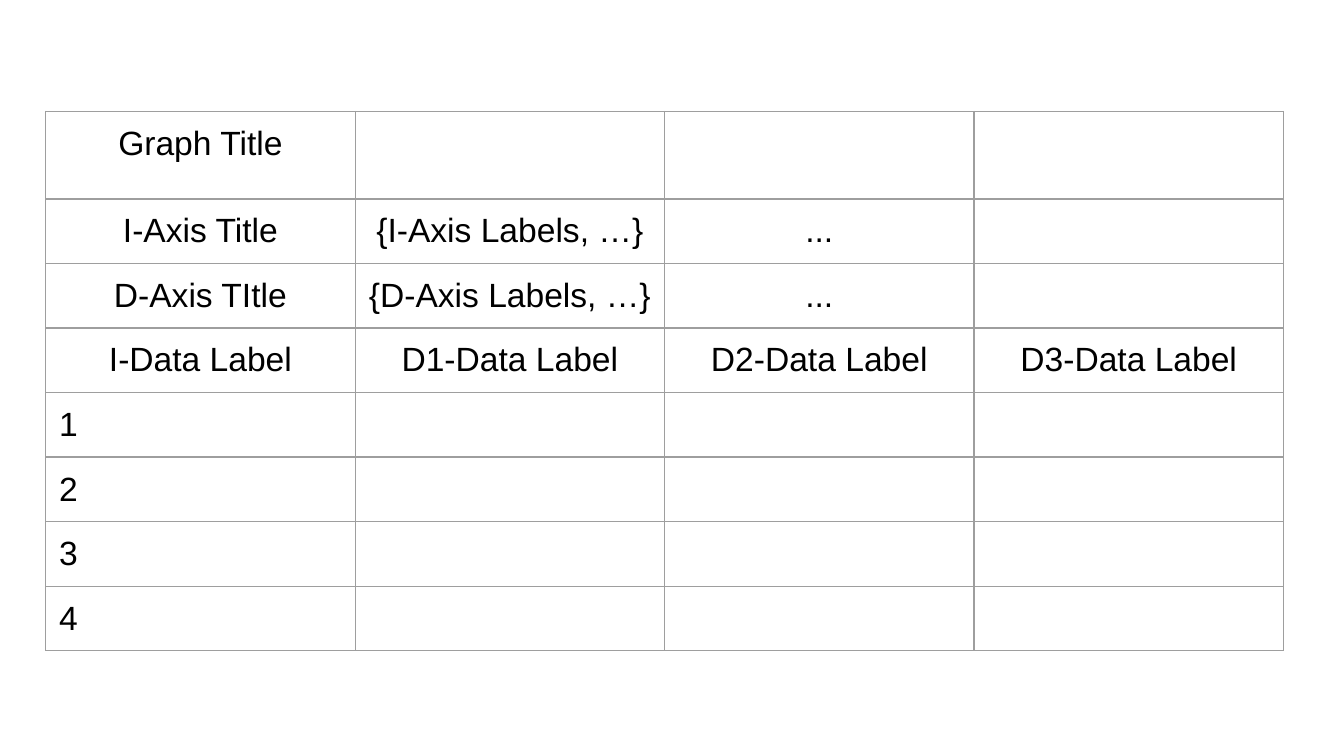
"""Build a slide with a template table for graph data."""
import pptx
import pptx.util
import pptx.dml.color
import pptx.enum.text
import lxml.etree
import pptx.oxml.ns

Inches, Pt = pptx.util.Inches, pptx.util.Pt
COLORS = {"text": "000000", "border": "9E9E9E"}
ROWS = [
    ["Graph Title"],
    ["I-Axis Title", "{I-Axis Labels, …}", "..."],
    ["D-Axis TItle", "{D-Axis Labels, …}", "..."],
    ["I-Data Label", "D1-Data Label", "D2-Data Label", "D3-Data Label"],
    ["1"],
    ["2"],
    ["3"],
    ["4"],
]
COLS = 4


def add_borders(cell):
    tcPr = cell._tc.get_or_add_tcPr()
    for i, side in enumerate(("lnL", "lnR", "lnT", "lnB")):
        ln = lxml.etree.Element(pptx.oxml.ns.qn(f"a:{side}"), w=str(Pt(0.75)))
        fill = lxml.etree.SubElement(ln, pptx.oxml.ns.qn("a:solidFill"))
        lxml.etree.SubElement(fill, pptx.oxml.ns.qn("a:srgbClr"), val=COLORS["border"])
        tcPr.insert(i, ln)


prs = pptx.Presentation()
prs.slide_width = Inches(10)
prs.slide_height = prs.slide_width * 9 // 16
s = prs.slides.add_slide(prs.slide_layouts[6])

table = s.shapes.add_table(
    len(ROWS), COLS, Inches(0.34), Inches(0.83), Inches(9.21), Inches(4.01)
).table
table.first_row = table.horz_banding = False

for i, texts in enumerate(ROWS):
    table.rows[i].height = Inches(0.65 if i == 0 else 0.48)
    for j in range(COLS):
        cell = table.cell(i, j)
        cell.fill.background()
        add_borders(cell)
        if j >= len(texts):
            continue
        cell.margin_left = cell.margin_right = Inches(0.1)
        cell.margin_top = cell.margin_bottom = Inches(0.1)
        cell.text = texts[j]
        p = cell.text_frame.paragraphs[0]
        if not texts[j].isdigit():
            p.alignment = pptx.enum.text.PP_ALIGN.CENTER
        p.font.name, p.font.size = "Arial", Pt(18)
        p.font.color.rgb = pptx.dml.color.RGBColor.from_string(COLORS["text"])

prs.save("out.pptx")
